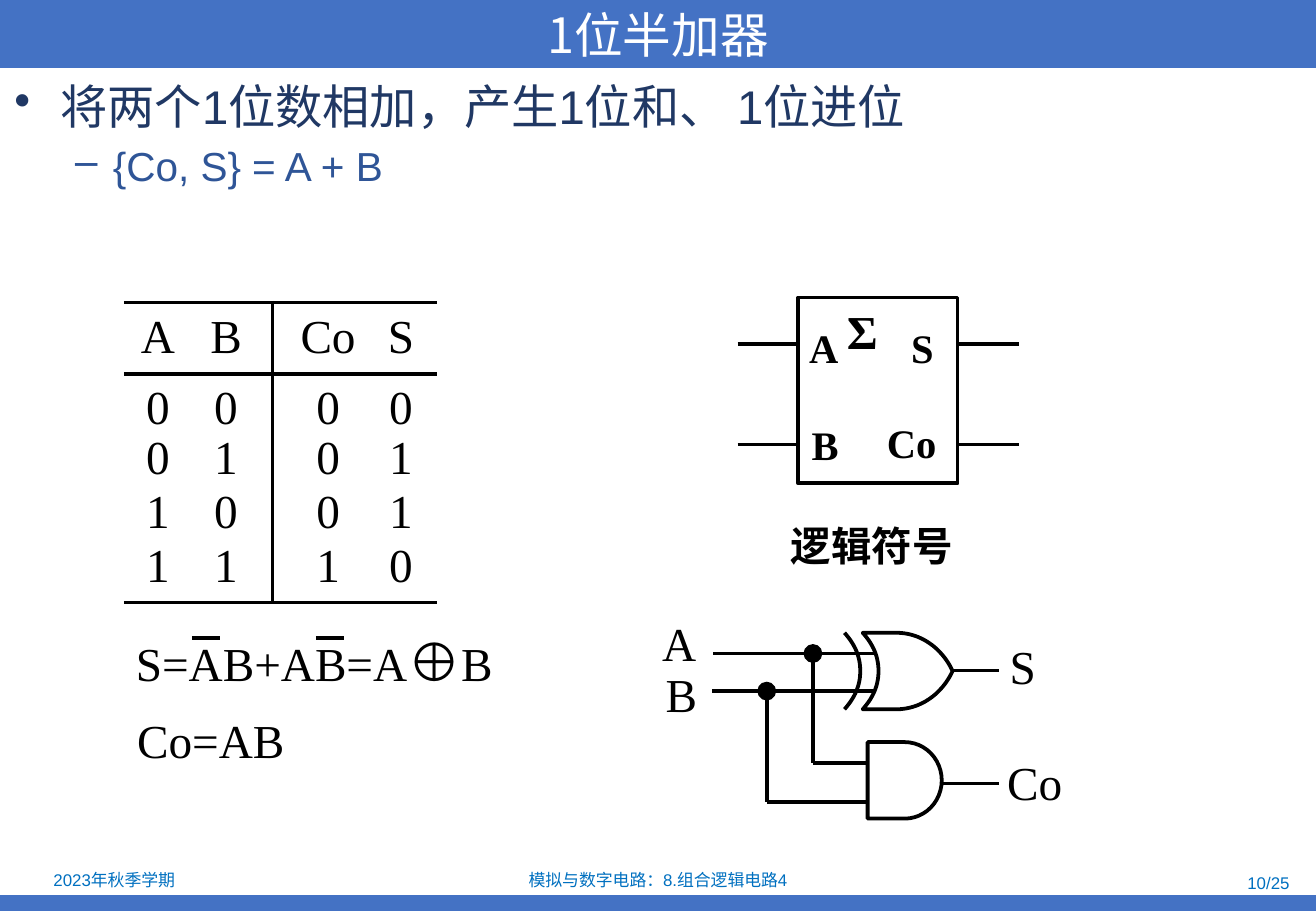
import pptx
import pptx.util
import pptx.dml.color
import pptx.enum.shapes
import pptx.enum.text
import pptx.oxml.ns
import lxml.etree

rgb = pptx.dml.color.RGBColor.from_string
qn = pptx.oxml.ns.qn
forms = pptx.enum.shapes.MSO_SHAPE
anchor = pptx.enum.text.MSO_ANCHOR
align = pptx.enum.text.PP_ALIGN

theme = {
    "bar": "4472C4", "white": "FFFFFF", "ink": "000000",
    "lead": "203864", "sub": "2F5597", "foot": "0070C0",
    "sans": "Arial", "serif": "Times New Roman", "han": "Noto Sans CJK SC",
    "title": 28.8, "big": 28, "mid": 24, "sign": 32, "small": 10, "line": 2.25,
}

deck = pptx.Presentation()
deck.slide_width = pptx.util.Inches(10.83)
deck.slide_height = pptx.util.Inches(7.5)
unit = deck.slide_height // 75
slide = deck.slides.add_slide(deck.slide_layouts[5])
shapes = slide.shapes


def cells(*counts):
    return [int(n * unit) for n in counts]


def say(para, text, size="big", hue="ink", face="serif", side=align.LEFT, bold=False):
    para.alignment = side
    run = para.add_run()
    run.text = text
    look = {"size": pptx.util.Pt(theme[size]), "bold": bold, "name": theme[face]}
    run.font.color.rgb = rgb(theme[hue])
    for key, value in look.items():
        setattr(run.font, key, value)
    lxml.etree.SubElement(run.font._element, qn("a:ea"), typeface=theme["han"])


title = shapes.title
title.left, title.top, title.width, title.height = cells(0, 0, 108.3, 5.6)
title.fill.solid()
title.fill.fore_color.rgb = rgb(theme["bar"])
frame = title.text_frame
frame.auto_size = pptx.enum.text.MSO_AUTO_SIZE.NONE
frame.vertical_anchor = anchor.MIDDLE
say(frame.paragraphs[0], "1位半加器", "title", "white", "han", align.CENTER)

body = shapes.add_textbox(*cells(0.2, 6.4, 108.1, 65)).text_frame
body.word_wrap = True
points = (
    ("将两个1位数相加，产生1位和、 1位进位", "big", "lead", "•", 3.8, 3.8, 0),
    ("{Co, S} = A + B", "mid", "sub", "–", 8.1, 3.1, 7),
)
for level, (text, size, hue, mark, left, hang, gap) in enumerate(points):
    para = body.add_paragraph() if level else body.paragraphs[0]
    para.level = level
    para.line_spacing = 0.9
    para.space_before = pptx.util.Pt(gap)
    props = para._p.get_or_add_pPr()
    props.set("marL", str(int(left * unit)))
    props.set("indent", str(int(-hang * unit)))
    lxml.etree.SubElement(props, qn("a:buChar"), char=mark)
    say(para, text, size, hue, "sans")

feet = (
    ((0.2, 71.3, 18.4, 2.3), "2023年秋季学期", align.CENTER),
    ((37, 71.4, 34.3, 2.1), "模拟与数字电路：8.组合逻辑电路4", align.CENTER),
    ((81.8, 71.6, 25.3, 2.1), "10/25", align.RIGHT),
)
for spot, text, side in feet:
    frame = shapes.add_textbox(*cells(*spot)).text_frame
    frame.word_wrap = True
    frame.vertical_anchor = anchor.MIDDLE
    say(frame.paragraphs[0], text, "small", "foot", "sans", side)

truth = (("A", "B", "Co", "S"), "0000", "0101", "1001", "1110")
widths = (5.6, 6.6, 7.6, 6)
heights = (5.9, 5, 4.3, 4.3, 4.9)
pads = ((0, 0), (0, 1), (1.6, 0), (0, 0))
stands = (anchor.MIDDLE, anchor.BOTTOM, anchor.TOP, anchor.TOP, anchor.TOP)
table = shapes.add_table(
    5, 4, *cells(10.2, 24.9, sum(widths), sum(heights))).table
table.first_row = table.horz_banding = False
style = table._tbl.tblPr.find(qn("a:tableStyleId"))
style.text = "{2D5ABB26-0587-4C30-8999-92F81FD0307C}"
for c, width in enumerate(widths):
    table.columns[c].width = int(width * unit)
for r, digits in enumerate(truth):
    table.rows[r].height = int(heights[r] * unit)
    for c, digit in enumerate(digits):
        cell = table.cell(r, c)
        left, right = cells(*pads[c])
        form = {"margin_left": left, "margin_right": right, "margin_top": 0,
                "margin_bottom": 0, "vertical_anchor": stands[r]}
        for key, value in form.items():
            setattr(cell, key, value)
        para = cell.text_frame.paragraphs[0]
        para.line_spacing = 0.95
        say(para, digit, side=align.CENTER)
        props = cell._tc.get_or_add_tcPr()
        sides = (("a:lnR", c == 1), ("a:lnT", r == 0), ("a:lnB", r in (0, 4)))
        for tag, drawn in sides:
            if drawn:
                edge = lxml.etree.SubElement(
                    props, qn(tag), w=str(pptx.util.Pt(theme["line"])))
                fill = lxml.etree.SubElement(edge, qn("a:solidFill"))
                lxml.etree.SubElement(fill, qn("a:srgbClr"), val=theme["ink"])
        cell.fill.background()

pins = [(x, y, x + 5, y) for x in (60.7, 78.9) for y in (28.3, 36.6)]
bars = [(x, 52.5, x + 2.3, 52.5) for x in (15.8, 26)]
drops = [(66.9, 53.8, 66.9, 62.8), (63.1, 56.9, 63.1, 66)]
wires = [
    (66.9, 62.8, 71.6, 62.8), (63.1, 66, 71.6, 66),
    (58.7, 53.8, 72, 53.8), (58.6, 56.9, 72, 56.9),
    (78.4, 55.2, 82.2, 55.2), (76.3, 64.5, 82.2, 64.5),
]
for ends in pins + bars + drops + wires:
    wire = shapes.add_connector(
        pptx.enum.shapes.MSO_CONNECTOR.STRAIGHT, *cells(*ends))
    wire.line.width = pptx.util.Pt(theme["line"])
    wire.line.color.rgb = rgb(theme["ink"])
    if ends in drops:
        lxml.etree.SubElement(
            wire.line._get_or_add_ln(), qn("a:headEnd"), type="oval", w="lg", len="lg")
    lxml.etree.SubElement(wire._element.spPr, qn("a:effectLst"))

bar = shapes.add_shape(forms.RECTANGLE, *cells(0, 73.7, 108.3, 1.3))
block = shapes.add_shape(forms.RECTANGLE, *cells(65.7, 24.5, 13.1, 15.3))
gate = shapes.add_shape(forms.FLOWCHART_DELAY, *cells(71.4, 61.1, 6.1, 6.3))
solids = [(bar, "bar", None), (block, None, "ink"), (gate, "white", "ink")]

nose = [(78.4, 55.25), (77.5, 53.3), (75.7, 52.1), (73.8, 52.1)]
for x, arcs in ((69.5, []), (71, [nose])):
    bow = [(x, 52.1), (x + 0.9, 53.1), (x + 1.3, 54.1), (x + 1.3, 55.25)]
    upper = []
    for arc in arcs + [bow]:
        for step in range(17):
            t = step / 16
            share = ((1 - t) ** 3, 3 * t * (1 - t) ** 2, 3 * t * t * (1 - t), t ** 3)
            upper.append([sum(s * p[k] for s, p in zip(share, arc)) for k in (0, 1)])
    lower = [(px, 110.5 - py) for px, py in reversed(upper)]
    trace = [cells(*spot) for spot in upper + lower]
    pen = shapes.build_freeform(*trace[0], scale=1.0)
    pen.add_line_segments(trace[1:], close=bool(arcs))
    solids.append((pen.convert_to_shape(), None, "ink"))

for shape, fill, edge in solids:
    shape.shadow.inherit = False
    for part, hue in ((shape.fill, fill), (shape.line.fill, edge)):
        if hue:
            part.solid()
            part.fore_color.rgb = rgb(theme[hue])
        else:
            part.background()
    if edge:
        shape.line.width = pptx.util.Pt(theme["line"])

labels = (
    ((64.1, 42.4, 15.4, 5), (("逻辑符号", "mid"),), True),
    ((65.6, 26.1, 4.4, 5), (("A", "mid"),), True),
    ((65.8, 34.1, 4.2, 5), (("B", "mid"),), True),
    ((74, 26.1, 3.9, 5), (("S", "mid"),), True),
    ((72, 33.9, 6.1, 5), (("Co", "mid"),), True),
    ((69.7, 24.9, 3.9, 4.7), (("Σ", "big"),), True),
    ((10.2, 51.2, 31.4, 6.3), (("S=AB+AB=A", "big"), ("⊕", "sign"), ("B", "big")), False),
    ((10.3, 58.1, 14.1, 5.7), (("Co=AB", "big"),), False),
    ((53.5, 50.1, 4.8, 5.7), (("A", "big"),), False),
    ((53.8, 54.3, 4.6, 5.7), (("B", "big"),), False),
    ((82.1, 52, 4.2, 5.7), (("S", "big"),), False),
    ((81.9, 61.5, 6.5, 5.7), (("Co", "big"),), False),
)
for spot, parts, bold in labels:
    frame = shapes.add_textbox(*cells(*spot)).text_frame
    frame.word_wrap = False
    if parts[0][0] == "Σ":
        frame.vertical_anchor = anchor.MIDDLE
        for key in ("left", "right", "top", "bottom"):
            setattr(frame, "margin_" + key, 0)
    for text, size in parts:
        say(frame.paragraphs[0], text, size, bold=bold)

deck.save("out.pptx")
